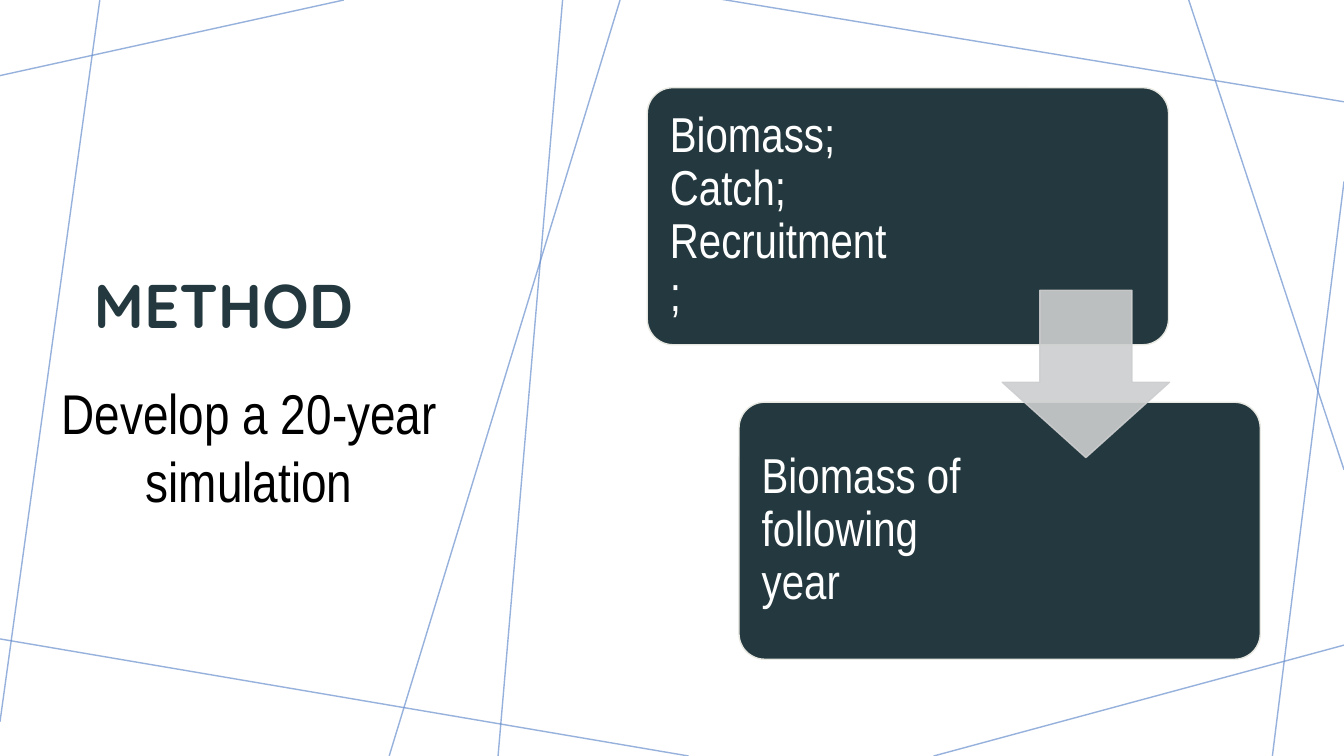
from lxml import etree
from pptx import Presentation
from pptx import util as u
from pptx.dml.color import RGBColor
from pptx.enum import shapes, text
from pptx.oxml.ns import qn

COLORS = {
    "mesh": "6A90CE",
    "dark": "24393F",
    "edge": "E8E8E2",
    "arrow": "CDCECF",
    "white": "FFFFFF",
    "black": "000000",
}
BODY_FONT = "Arial Narrow"
STEP_SIZE = (5.17, 2.55)

# Background mesh: x1, y1, x2, y2
MESH = [
    (3.41, 0, 0, 0.75),
    (0.99, 0, 0, 7.16),
    (6.83, 7.5, -0.05, 6.33),
    (13.33, 6.4, 9.26, 7.5),
    (13.33, 1.8, 12.62, 7.5),
    (13.33, 4.66, 11.79, 0),
    (13.33, 1.01, 7.14, -0.01),
    (6.15, 0, 3.86, 7.5),
    (5.58, 0, 4.94, 7.5),
]

# Process steps: left, top, label width, label
STEPS = [
    (6.42, 0.87, 2.54, "Biomass; Catch; Recruitment;"),
    (7.33, 3.99, 2.46, "Biomass of following year"),
]


def rgb(name):
    return RGBColor.from_string(COLORS[name])


def set_opacity(fill, percent):
    color = fill._xPr.find(qn("a:solidFill"))[0]
    etree.SubElement(color, qn("a:alpha"), val=str(percent * 1000))


def add_mesh_line(slide, x1, y1, x2, y2):
    ends = [u.Inches(value) for value in (x1, y1, x2, y2)]
    strand = slide.shapes.add_connector(shapes.MSO_CONNECTOR.STRAIGHT, *ends)
    strand.line.width = u.Pt(1)
    strand.line.color.rgb = rgb("mesh")
    set_opacity(strand.line.fill, 70)
    etree.SubElement(strand._element.spPr, qn("a:effectLst"))


def add_block(slide, preset, box, fill, edge, adjustments, opacity=None):
    block = slide.shapes.add_shape(preset, *map(u.Inches, box))
    block.shadow.inherit = False
    for index, value in enumerate(adjustments):
        block.adjustments[index] = value
    block.fill.solid()
    block.fill.fore_color.rgb = rgb(fill)
    block.line.width = u.Pt(1)
    block.line.color.rgb = rgb(edge)
    if opacity is not None:
        set_opacity(block.fill, opacity)
        set_opacity(block.line.fill, opacity)


def add_label(slide, box, words, size, color, font=BODY_FONT, bold=False,
              align=text.PP_ALIGN.LEFT, anchor=text.MSO_ANCHOR.MIDDLE,
              spacing=0.9, inset=None):
    label = slide.shapes.add_textbox(*map(u.Inches, box))
    frame = label.text_frame
    frame.word_wrap = True
    frame.vertical_anchor = anchor
    if inset is not None:
        frame.margin_left = frame.margin_right = u.Inches(inset)
        frame.margin_top = frame.margin_bottom = u.Inches(inset)
    frame.text = words
    paragraph = frame.paragraphs[0]
    paragraph.alignment = align
    paragraph.line_spacing = spacing
    for run in paragraph.runs:
        run.font.name = font
        run.font.size = u.Pt(size)
        run.font.bold = bold
        run.font.color.rgb = rgb(color)


def add_step(slide, left, top, label_width, words):
    add_block(slide, shapes.MSO_SHAPE.ROUNDED_RECTANGLE,
              (left, top, *STEP_SIZE), "dark", "edge", [0.1])
    add_label(slide, (left + 0.075, top + 0.075, label_width, 2.4),
              words, 35, "white", inset=0.15)


def main():
    deck = Presentation()
    deck.slide_width = u.Inches(13.33)
    deck.slide_height = u.Inches(7.5)
    slide = deck.slides.add_slide(deck.slide_layouts[6])

    # Background
    for strand in MESH:
        add_mesh_line(slide, *strand)

    # Heading and goal
    add_label(slide, (0.83, 0.36, 4.07, 5.4), "METHOD", 44, "dark",
              font="Quicksand", bold=True)
    add_label(slide, (0.13, 3.71, 4.68, 1.45), "Develop a 20-year simulation",
              40, "black", align=text.PP_ALIGN.CENTER,
              anchor=text.MSO_ANCHOR.TOP, spacing=1.0)

    # Process steps with the arrow between them
    for step in STEPS:
        add_step(slide, *step)
    add_block(slide, shapes.MSO_SHAPE.DOWN_ARROW, (9.94, 2.88, 1.66, 1.66),
              "arrow", "arrow", [0.55, 0.45], opacity=90)

    deck.save("out.pptx")


if __name__ == "__main__":
    main()
